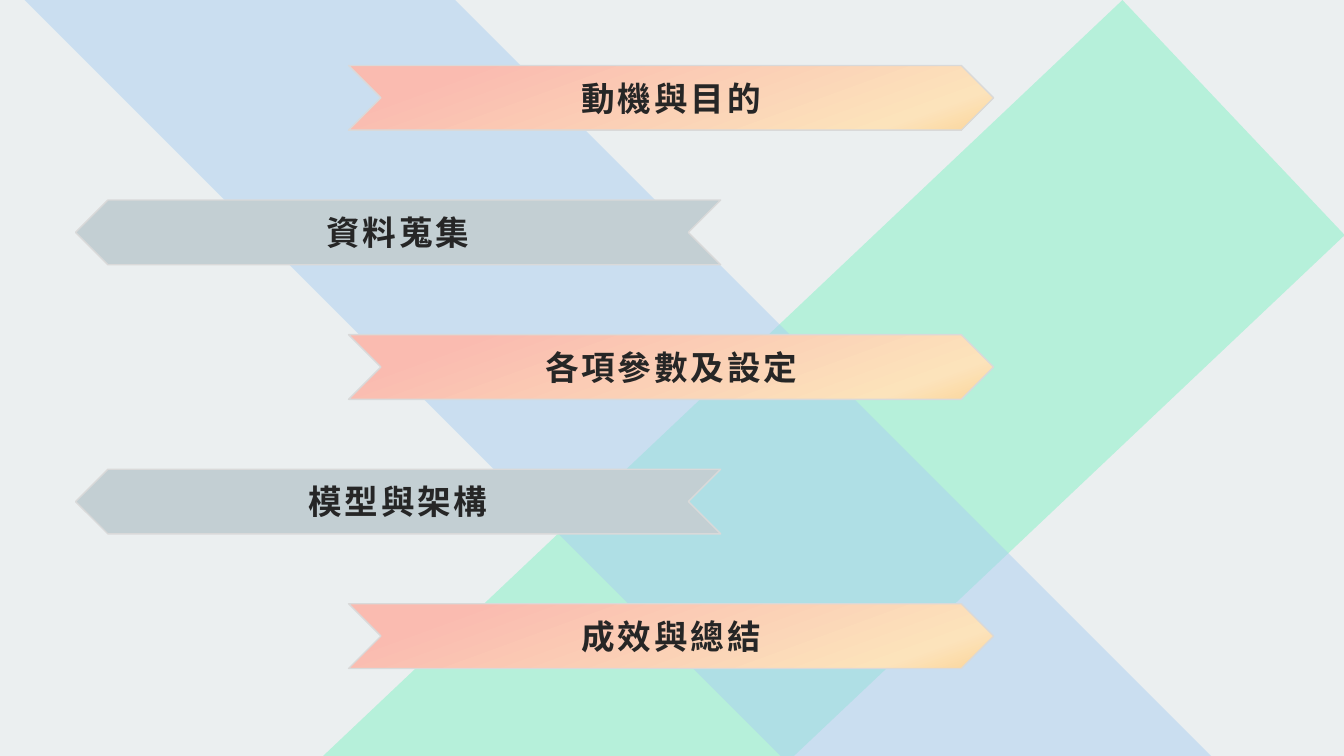
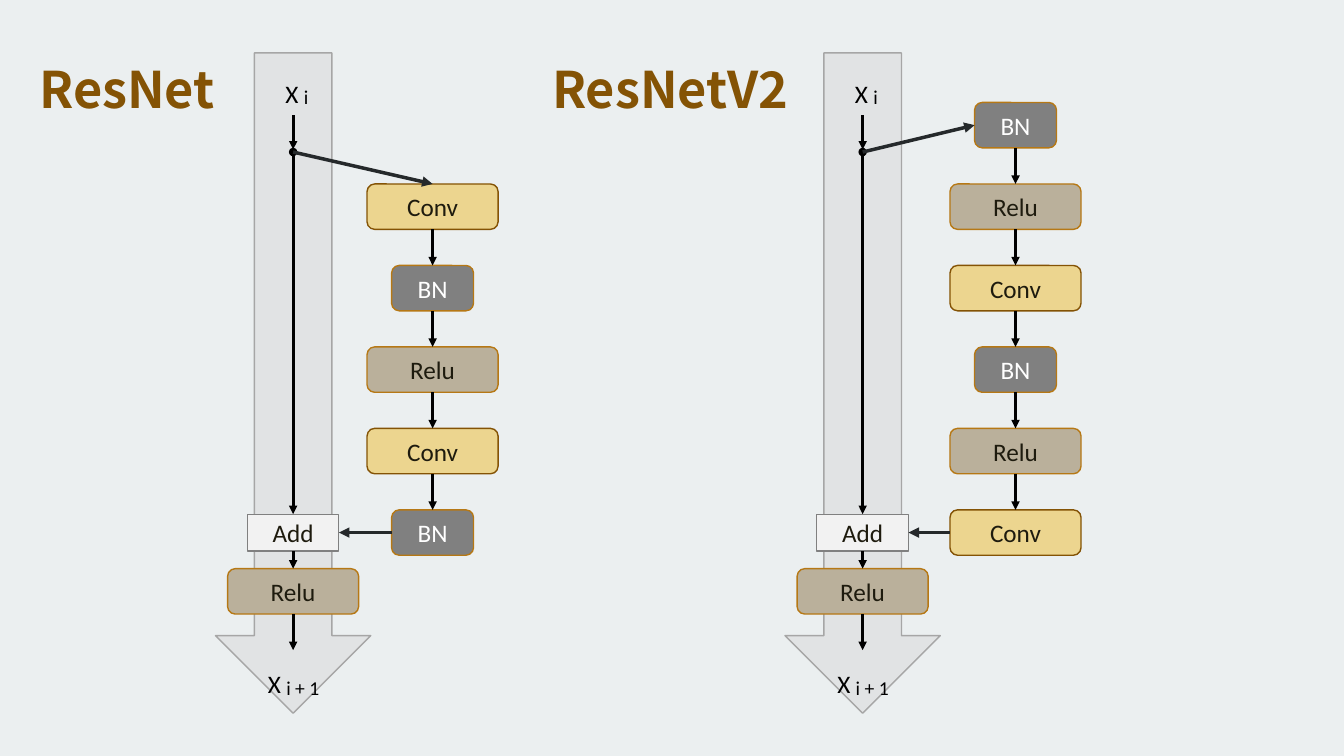
from itertools import pairwise

from lxml import etree
from pptx import Presentation, util as u
from pptx.dml.color import RGBColor
from pptx.enum import shapes, text
from pptx.oxml import ns

COLOURS = {
    "page": "EBEFF0", "mint": "76F2C0", "sky": "AACFF0", "steel": "C3CFD3",
    "rose": "FABBB0", "cream": "FCE3BB", "apricot": "FBD599", "edge": "D9D9D9",
    "ink": "262626", "black": "000000", "white": "FFFFFF", "slate": "25292B",
    "brown": "845305", "amber": "B67815", "gold": "EEC44C", "gray": "808080",
    "taupe": "BAB09B", "coffee": "1E1B0E", "pale": "F2F2F2", "silver": "A6A6A6",
}
FONTS = {
    "banner": dict(size=24, name="Noto Sans CJK SC", bold=True, colour="ink", spacing=2),
    "title": dict(size=36, name="Noto Sans CJK SC", bold=True, colour="brown"),
    "block": dict(size=18, name="Calibri", colour="coffee"),
    "inverse": dict(size=18, name="Calibri", colour="white"),
    "symbol": dict(size=18, name="Calibri", colour="black"),
    "index": dict(size=14, name="Calibri", colour="black"),
}
BLOCKS = {
    "Conv": dict(width=15.6, fill="gold", alpha=59, line="brown", font="block"),
    "BN": dict(width=9.75, fill="gray", line="amber", font="inverse"),
    "Relu": dict(width=15.6, fill="taupe", line="amber", font="block"),
}
WARM = [(15, "rose"), (86, "cream"), (100, "apricot")]
COLUMNS, ROWS = 160, 90
BLOCK_TOP, BLOCK_PITCH, BLOCK_HEIGHT = 12.2, 9.7, 5.4


def rgb(name):
    """Return the named colour."""
    return RGBColor.from_string(COLOURS[name])


def add_element(parent, tag, **values):
    """Append a drawing element with the given attributes."""
    element = etree.SubElement(parent, ns.qn(tag))
    for key, value in values.items():
        element.set(key, str(value))
    return element


class Sketch:
    """Hold the deck style and the current slide, measured in grid columns and rows."""

    def __init__(self):
        """Open a wide deck with a shared background."""
        self.deck = Presentation()
        self.deck.slide_width = u.Inches(13.333)
        self.deck.slide_height = u.Inches(7.5)
        fill = self.deck.slide_master.background.fill
        fill.solid()
        fill.fore_color.rgb = rgb("page")
        self.page = None

    def new_page(self):
        """Start a blank slide."""
        self.page = self.deck.slides.add_slide(self.deck.slide_layouts[6])

    def place(self, column, row):
        """Turn a grid position into slide lengths."""
        return (round(self.deck.slide_width * column / COLUMNS),
                round(self.deck.slide_height * row / ROWS))

    def set_words(self, frame, words, font, align):
        """Put one styled line into a text frame."""
        frame.word_wrap = True
        para = frame.paragraphs[0]
        para.alignment = align
        span = para.add_run()
        span.text = words
        style = dict(FONTS[font])
        span.font.color.rgb = rgb(style.pop("colour"))
        spacing = style.pop("spacing", 0)
        style["size"] = u.Pt(style["size"])
        for key, value in style.items():
            setattr(span.font, key, value)
        properties = span.font._element
        add_element(properties, "a:ea", typeface=style["name"])
        if spacing:
            properties.set("spc", str(spacing * 100))

    def shape(self, kind, at, size, fill, alpha=100, line=None, weight=1,
              words=None, font="block", rotation=0):
        """Draw a filled preset shape, with centred text if given."""
        box = self.page.shapes.add_shape(kind, *self.place(*at), *self.place(*size))
        box.shadow.inherit = False
        box.rotation = rotation
        box.fill.solid()
        box.fill.fore_color.rgb = rgb(fill)
        if alpha < 100:
            colour = box._element.spPr.find(".//" + ns.qn("a:srgbClr"))
            add_element(colour, "a:alpha", val=alpha * 1000)
        if line:
            box.line.color.rgb = rgb(line)
            box.line.width = u.Pt(weight)
        else:
            box.line.fill.background()
        if words:
            box.text_frame.vertical_anchor = text.MSO_ANCHOR.MIDDLE
            self.set_words(box.text_frame, words, font, text.PP_ALIGN.CENTER)
        return box

    def banner(self, at, words, warm):
        """Draw a chevron: warm ones point right, cool ones point left."""
        box = self.shape(shapes.MSO_SHAPE.CHEVRON, at, (76.8, 7.7), "steel",
                         line="edge", words=words, font="banner")
        properties = box._element.spPr
        if not warm:
            properties.find(ns.qn("a:xfrm")).set("flipH", "1")
            return
        solid = properties.find(ns.qn("a:solidFill"))
        gradient = etree.Element(ns.qn("a:gradFill"), rotWithShape="1")
        stops = add_element(gradient, "a:gsLst")
        for position, name in WARM:
            stop = add_element(stops, "a:gs", pos=position * 1000)
            add_element(stop, "a:srgbClr", val=COLOURS[name])
        add_element(gradient, "a:lin", ang=70 * 60000, scaled=0)
        properties.replace(solid, gradient)

    def block(self, name, centre, top):
        """Draw one network layer as a rounded box."""
        style = dict(BLOCKS[name])
        width = style.pop("width")
        return self.shape(shapes.MSO_SHAPE.ROUNDED_RECTANGLE, (centre - width / 2, top),
                          (width, BLOCK_HEIGHT), words=name, **style)

    def label(self, at, size, words, font):
        """Add a free line of text."""
        box = self.page.shapes.add_textbox(*self.place(*at), *self.place(*size))
        box.text_frame.auto_size = text.MSO_AUTO_SIZE.SHAPE_TO_FIT_TEXT
        self.set_words(box.text_frame, words, font, text.PP_ALIGN.LEFT)

    def arrow(self, start, end, colour="black", weight=2, dot=False):
        """Join two ends, each a grid point or a (shape, side) pair."""
        ends = [(point, isinstance(point[0], (int, float))) for point in (start, end)]
        corners = [self.place(*point) if free else (0, 0) for point, free in ends]
        line = self.page.shapes.add_connector(
            shapes.MSO_CONNECTOR.STRAIGHT, *corners[0], *corners[1])
        for (point, free), join in zip(ends, (line.begin_connect, line.end_connect)):
            if not free:
                join(*point)
        line.line.color.rgb = rgb(colour)
        line.line.width = u.Pt(weight)
        properties = line._element.spPr
        stroke = properties.find(ns.qn("a:ln"))
        if dot:
            add_element(stroke, "a:headEnd", type="oval")
        add_element(stroke, "a:tailEnd", type="triangle")
        add_element(properties, "a:effectLst")

    def network(self, title, title_at, title_width, stem, branch, layers, first, entry):
        """Draw a residual unit: a stem, a branch of layers and their sum."""
        self.shape(shapes.MSO_SHAPE.DOWN_ARROW, (stem - 9.24, 6.3), (18.48, 78.6),
                   "edge", alpha=50, line="silver")
        self.label((title_at, 6.36), (title_width, 8.5), title, "title")
        for left, top, index, index_width in (
                (stem - 2.1, 8.7, "i", 3.2), (stem - 4.2, 79, "i + 1", 6.84)):
            self.label((left, top), (4.44, 4.8), "X", "symbol")
            self.label((left + 2.2, top + 0.84), (index_width, 4.1), index, "index")
        chain = [self.block(name, branch, BLOCK_TOP + BLOCK_PITCH * step)
                 for step, name in enumerate(layers, first)]
        total = self.shape(shapes.MSO_SHAPE.RECTANGLE, (stem - 5.46, 61.2), (10.92, 4.4),
                           "pale", line="gray", weight=0.75, words="Add")
        output = self.block("Relu", stem, 67.7)
        fork = (stem, 18.1)
        self.arrow((stem, 13.7), (stem, 17.8))
        self.arrow(fork, (total, 0), dot=True)
        self.arrow(fork, (chain[0], entry), "slate", 2.5)
        for upper, lower in pairwise(chain):
            self.arrow((upper, 2), (lower, 0))
        self.arrow((chain[-1], 1), (total, 3), "slate", 2.5)
        self.arrow((total, 2), (output, 0))
        self.arrow((output, 2), (stem, 77.4))


def main():
    """Build the agenda and the network comparison."""
    sketch = Sketch()
    sketch.new_page()
    band = shapes.MSO_SHAPE.RECTANGLE
    sketch.shape(band, (26.28, 42.72), (139.68, 38.52), "mint", alpha=45, rotation=316.6)
    sketch.shape(band, (-16.8, 23.4), (173.76, 36.24), "sky", alpha=50, rotation=45)
    topics = ["動機與目的", "資料蒐集", "各項參數及設定", "模型與架構", "成效與總結"]
    for step, topic in enumerate(topics):
        warm = step % 2 == 0
        sketch.banner((41.5 if warm else 9, 7.8 + 16.02 * step), topic, warm)

    sketch.new_page()
    sketch.network("ResNet", 3.5, 25.7, 34.9, 51.5,
                   ["Conv", "BN", "Relu", "Conv", "BN"], first=1, entry=0)
    sketch.network("ResNetV2", 64.56, 31.8, 102.7, 120.9,
                   ["BN", "Relu", "Conv", "BN", "Relu", "Conv"], first=0, entry=1)
    sketch.deck.save("out.pptx")


if __name__ == "__main__":
    main()
